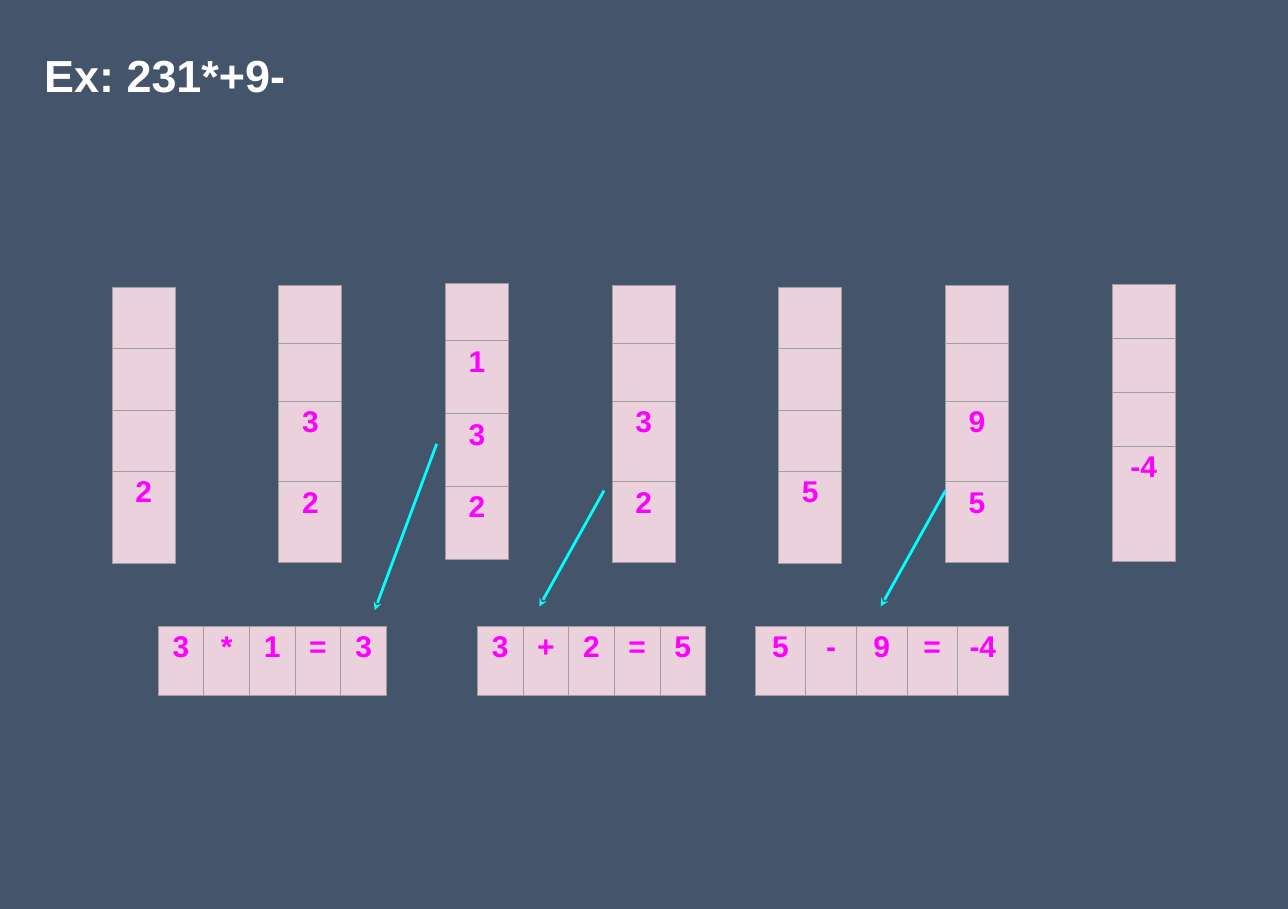
"""Builds a slide that evaluates the postfix expression 231*+9- with stacks."""
from dataclasses import dataclass

import pptx
import pptx.dml.color
import pptx.enum.shapes
import pptx.enum.text
import pptx.oxml
import pptx.oxml.ns
import pptx.util

Cm = pptx.util.Cm
Pt = pptx.util.Pt


@dataclass(frozen=True)
class Theme:
    font: str = "Arial"
    background: str = "44546A"
    title: str = "FFFFFF"
    cell: str = "EAD1DC"
    border: str = "9E9E9E"
    value: str = "FF00FF"
    arrow: str = "00FFFF"
    title_size: int = 36
    value_size: int = 24
    border_width: float = 0.75
    arrow_width: float = 2.25


THEME = Theme()
STACK_LEFT, STACK_STEP, STACK_WIDTH, STACK_SLOTS = 3.17, 4.71, 1.78, 4
STACKS = [
    (8.13, 1.73, 2.6, ["2"]),
    (8.08, 1.63, 2.28, ["3", "2"]),
    (8.0, 1.63, 2.06, ["1", "3", "2"]),
    (8.08, 1.63, 2.28, ["3", "2"]),
    (8.13, 1.73, 2.6, ["5"]),
    (8.08, 1.63, 2.28, ["9", "5"]),
    (8.05, 1.52, 3.25, ["-4"]),
]
EQUATION_TOP, EQUATION_HEIGHT = 17.7, 1.96
EQUATIONS = [
    (4.47, 1.29, ["3", "*", "1", "=", "3"]),
    (13.49, 1.29, ["3", "+", "2", "=", "5"]),
    (21.34, 1.43, ["5", "-", "9", "=", "-4"]),
]
ARROWS = [
    (12.34, 12.55, 10.59, 17.25),
    (17.07, 13.87, 15.24, 17.15),
    (26.72, 13.87, 24.89, 17.15),
]


def rgb(color):
    """Return an RGB colour from its hex form."""
    return pptx.dml.color.RGBColor.from_string(color)


def add_run(p, text, size, color):
    """Add one bold run to a paragraph."""
    r = p.add_run()
    r.text = text
    r.font.name = THEME.font
    r.font.size = Pt(size)
    r.font.bold = True
    r.font.color.rgb = rgb(color)


def add_title(slide, text):
    """Add the slide heading."""
    sp = slide.shapes.add_textbox(Cm(1), Cm(1.1), Cm(12.85), Cm(3.78))
    tf = sp.text_frame
    tf.word_wrap = True
    tf.margin_left = tf.margin_right = tf.margin_top = tf.margin_bottom = Cm(0.25)
    add_run(tf.paragraphs[0], text, THEME.title_size, THEME.title)


def style_cell(cell):
    """Give a cell its four borders and its fill."""
    tc_pr = cell._tc.get_or_add_tcPr()
    for side in ("lnL", "lnR", "lnT", "lnB"):
        tc_pr.append(pptx.oxml.parse_xml(
            f'<a:{side} {pptx.oxml.ns.nsdecls("a")} w="{Pt(THEME.border_width)}">'
            f'<a:solidFill><a:srgbClr val="{THEME.border}"/></a:solidFill></a:{side}>'))
    cell.fill.solid()
    cell.fill.fore_color.rgb = rgb(THEME.cell)


def add_grid(slide, left, top, widths, heights, values):
    """Add a table whose values run row by row."""
    frame = slide.shapes.add_table(
        len(heights), len(widths), Cm(left), Cm(top), Cm(sum(widths)), Cm(sum(heights)))
    table = frame.table
    table.first_row = table.horz_banding = False
    for column, width in zip(table.columns, widths):
        column.width = Cm(width)
    for row, height in zip(table.rows, heights):
        row.height = Cm(height)
    for cell, value in zip(table.iter_cells(), values):
        style_cell(cell)
        if value:
            p = cell.text_frame.paragraphs[0]
            p.alignment = pptx.enum.text.PP_ALIGN.CENTER
            add_run(p, value, THEME.value_size, THEME.value)


def add_stack(slide, index, top, empty_height, filled_height, values):
    """Add a vertical stack with its empty slots above its values."""
    empty = STACK_SLOTS - len(values)
    heights = [empty_height] * empty + [filled_height] * len(values)
    add_grid(slide, STACK_LEFT + index * STACK_STEP, top, [STACK_WIDTH],
             heights, [""] * empty + values)


def add_equation(slide, left, width, symbols):
    """Add a horizontal strip with one symbol per cell."""
    add_grid(slide, left, EQUATION_TOP, [width] * len(symbols), [EQUATION_HEIGHT], symbols)


def add_arrow(slide, x1, y1, x2, y2):
    """Add an arrow from a stack to its equation."""
    line = slide.shapes.add_connector(
        pptx.enum.shapes.MSO_CONNECTOR.STRAIGHT, Cm(x1), Cm(y1), Cm(x2), Cm(y2))
    line.line.color.rgb = rgb(THEME.arrow)
    line.line.width = Pt(THEME.arrow_width)
    ns = pptx.oxml.ns.nsdecls("a")
    line.line._get_or_add_ln().append(
        pptx.oxml.parse_xml(f'<a:tailEnd {ns} type="stealth"/>'))
    line._element.spPr.append(pptx.oxml.parse_xml(f"<a:effectLst {ns}/>"))


def main():
    """Build and save the slide."""
    prs = pptx.Presentation()
    prs.slide_width, prs.slide_height = Cm(36.4), Cm(25.7)
    slide = prs.slides.add_slide(prs.slide_layouts[6])
    slide.background.fill.solid()
    slide.background.fill.fore_color.rgb = rgb(THEME.background)
    add_title(slide, "Ex: 231*+9-")
    for index, stack in enumerate(STACKS):
        add_stack(slide, index, *stack)
    for equation in EQUATIONS:
        add_equation(slide, *equation)
    for arrow in ARROWS:
        add_arrow(slide, *arrow)
    prs.save("out.pptx")


if __name__ == "__main__":
    main()
